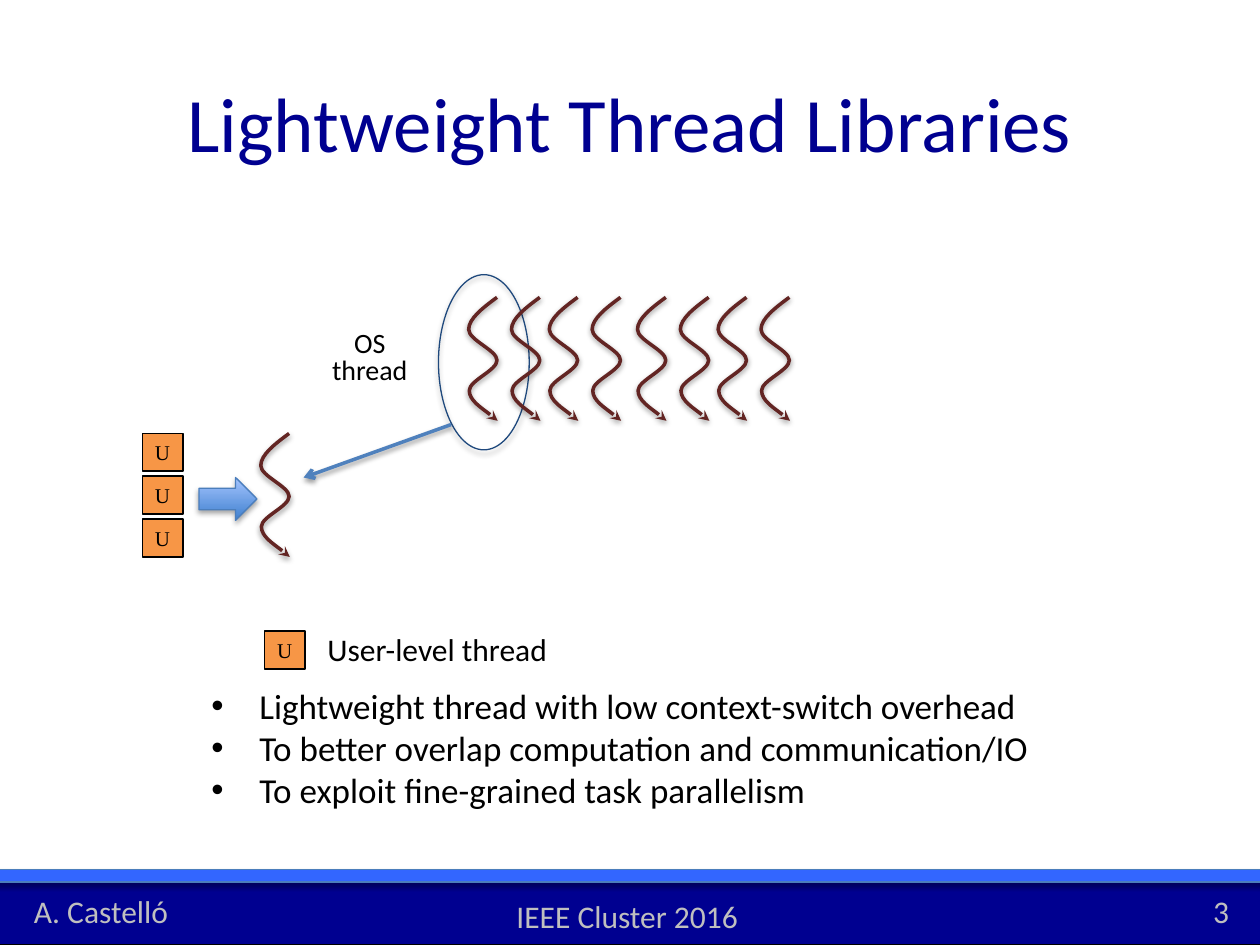
from dataclasses import dataclass
from itertools import product
from lxml.etree import SubElement
from pptx import Presentation
from pptx.dml.color import RGBColor
from pptx.enum.shapes import MSO_CONNECTOR, MSO_SHAPE
from pptx.enum.text import MSO_ANCHOR, PP_ALIGN
from pptx.oxml.ns import qn
from pptx.util import Inches, Pt

NAVY = RGBColor(0x00, 0x00, 0x90)
BLUE = RGBColor(0x33, 0x66, 0xFF)
EDGE = RGBColor(0x4B, 0x7E, 0xBC)
STEEL = RGBColor(0x4F, 0x81, 0xBD)
DEEP = RGBColor(0x1F, 0x49, 0x7D)
MAROON = RGBColor(0x63, 0x25, 0x23)
ORANGE = RGBColor(0xF7, 0x96, 0x46)
DARK = RGBColor(0x3F, 0x80, 0xCE)
LIGHT = RGBColor(0xA4, 0xC4, 0xFF)
GREY = RGBColor(0xBF, 0xBF, 0xBF)
BLACK = RGBColor(0, 0, 0)

COLS, ROWS = 100, 75
CELL = Inches(0.1)


@dataclass(frozen=True)
class Box:
    """A place on the grid of 100 columns and 75 rows."""
    col: float
    row: float
    wide: float
    high: float

    def place(self) -> tuple:
        return tuple(grid(n) for n in (self.col, self.row, self.wide, self.high))


@dataclass(frozen=True)
class Label:
    text: str
    box: Box
    size: int = 18
    color: RGBColor = BLACK


BARS = [
    (Box(-0.4, 70, 101.3, 5), NAVY, BLACK),
    (Box(-0.4, 69, 101.3, 1), BLUE, EDGE),
]
FOOT = [
    Label("A. Castelló", Box(1.7, 70.3, 12.8, 4), color=GREY),
    Label("3", Box(95.3, 70.3, 3.3, 4), color=GREY),
    Label("IEEE Cluster 2016", Box(40, 70.7, 19.8, 4), color=GREY),
]
OS_TAG = Label("OS\vthread", Box(25.3, 25.9, 8.1, 5.4), 16)
KEY = Label("User-level thread", Box(25, 49.5, 19.8, 4))
POINTS = Label(
    "Lightweight thread with low context-switch overhead\n"
    "To better overlap computation and communication/IO\n"
    "To exploit fine-grained task parallelism",
    Box(15.8, 53.8, 70.3, 11.1), 20)

# A thread's wave: a start, then three points for each curve
WAVE = [(2.25, 0),
        (1.1, 0.85), (0, 1.7), (0, 2.55),
        (0, 3.4), (2.25, 4.2), (2.25, 5),
        (2.25, 5.8), (0.05, 6.6), (0.05, 7.4),
        (0.05, 8.2), (1.9, 9.4), (2.3, 9.8)]


def grid(n: float) -> int:
    return round(n * CELL)


def shade(shape, alpha: int = 0, blur: float = 3.1, dist: float = 1.8) -> None:
    """Set a shadow straight below; alpha 0 means none. Call after the line."""
    effects = SubElement(shape._element.spPr, qn("a:effectLst"))
    if alpha:
        outer = SubElement(effects, qn("a:outerShdw"), blurRad=str(Pt(blur)),
                           dist=str(Pt(dist)), dir="5400000", rotWithShape="0")
        color = SubElement(outer, qn("a:srgbClr"), val="000000")
        SubElement(color, qn("a:alpha"), val=str(alpha * 1000))


def stroke(shape, color: RGBColor, width: float, tip: str = "") -> None:
    shape.line.color.rgb = color
    shape.line.width = Pt(width)
    if tip:
        SubElement(shape.line._get_or_add_ln(), qn("a:tailEnd"), type=tip)


def style(para, size: int, color: RGBColor, name: str = "Calibri") -> None:
    for run in para.runs:
        run.font.size = Pt(size)
        run.font.name = name
        run.font.color.rgb = color


def draw_form(slide, kind, box: Box, edge: RGBColor, width: float = 0.75):
    form = slide.shapes.add_shape(kind, *box.place())
    stroke(form, edge, width)
    return form


def draw_bar(slide, box: Box, fill: RGBColor, edge: RGBColor) -> None:
    bar = draw_form(slide, MSO_SHAPE.RECTANGLE, box, edge)
    bar.fill.solid()
    bar.fill.fore_color.rgb = fill
    shade(bar, 35)


def draw_label(slide, label: Label, wrap: bool = False):
    frame = slide.shapes.add_textbox(*label.box.place()).text_frame
    frame.word_wrap = wrap
    frame.text = label.text
    for para in frame.paragraphs:
        style(para, label.size, label.color)
    return frame


def draw_wave(slide, col: float, row: float) -> None:
    first, *rest = [(grid(col + x), grid(row + y)) for x, y in WAVE]
    pen = slide.shapes.build_freeform(*first)
    pen.add_line_segments(rest, close=False)
    wave = pen.convert_to_shape()
    wave.fill.background()
    stroke(wave, MAROON, 2, "stealth")
    shade(wave, 38, dist=1.6)
    # Turn each three straight steps into one curve
    trace = next(wave._element.iter(qn("a:path")))
    steps = trace.findall(qn("a:lnTo"))
    for i in range(0, len(steps), 3):
        curve = SubElement(trace, qn("a:cubicBezTo"))
        for step in steps[i:i + 3]:
            curve.append(step[0])
            trace.remove(step)


def draw_unit(slide, col: float, row: float) -> None:
    """Draw the square that stands for a user-level thread."""
    unit = draw_form(slide, MSO_SHAPE.RECTANGLE, Box(col, row, 3.2, 3), BLACK, 1)
    unit.fill.solid()
    unit.fill.fore_color.rgb = ORANGE
    shade(unit)
    frame = unit.text_frame
    frame.word_wrap = False
    frame.vertical_anchor = MSO_ANCHOR.MIDDLE
    frame.margin_top = frame.margin_bottom = 0
    frame.text = "U"
    frame.paragraphs[0].alignment = PP_ALIGN.CENTER
    style(frame.paragraphs[0], 12, BLACK, "Times New Roman")


def draw_title(slide) -> None:
    title = slide.shapes.title
    title.left, title.top, title.width, title.height = Box(5, 4.8, 90, 9.7).place()
    title.text_frame.text = "Lightweight Thread Libraries"
    title.text_frame.vertical_anchor = MSO_ANCHOR.MIDDLE
    para = title.text_frame.paragraphs[0]
    para.alignment = PP_ALIGN.CENTER
    style(para, 44, NAVY)


def draw_threads(slide) -> None:
    ring = draw_form(slide, MSO_SHAPE.OVAL, Box(34.8, 21.8, 7.2, 13.9), DEEP)
    ring.fill.background()
    shade(ring, 35)
    tag = draw_label(slide, OS_TAG).paragraphs[0]
    tag.alignment = PP_ALIGN.CENTER
    tag.line_spacing = 0.8
    for base, step in product((37.2, 50.6), (0, 3.4, 6.4, 9.8)):
        draw_wave(slide, base + step, 23.6)
    draw_wave(slide, 20.7, 34.4)


def draw_arrows(slide) -> None:
    block = draw_form(slide, MSO_SHAPE.RIGHT_ARROW, Box(15.8, 37.9, 4.6, 3.4), EDGE)
    block.fill.gradient()
    block.fill.gradient_angle = 90
    for stop, color in zip(block.fill.gradient_stops, (DARK, LIGHT)):
        stop.color.rgb = color
    shade(block, 35)
    ends = [grid(n) for n in (35.8, 33.7, 24.1, 37.9)]
    link = slide.shapes.add_connector(MSO_CONNECTOR.STRAIGHT, *ends)
    stroke(link, STEEL, 2, "arrow")
    shade(link, 38, dist=1.6)


def draw_points(slide) -> None:
    for para in draw_label(slide, POINTS, wrap=True).paragraphs:
        props = para._p.get_or_add_pPr()
        props.set("marL", str(grid(3.8)))
        props.set("indent", str(-grid(3.8)))
        SubElement(props, qn("a:buFont"), typeface="Arial")
        SubElement(props, qn("a:buChar"), char="•")


def main() -> None:
    deck = Presentation()
    deck.slide_width, deck.slide_height = COLS * CELL, ROWS * CELL
    slide = deck.slides.add_slide(deck.slide_layouts[5])
    draw_title(slide)
    for box, fill, edge in BARS:
        draw_bar(slide, box, fill, edge)
    for label in FOOT:
        draw_label(slide, label)
    draw_threads(slide)
    for i in range(3):
        draw_unit(slide, 11.3, 34.4 + 3.4 * i)
    draw_arrows(slide)
    draw_points(slide)
    draw_unit(slide, 21, 50.1)
    draw_label(slide, KEY)
    deck.save("out.pptx")


if __name__ == "__main__":
    main()
